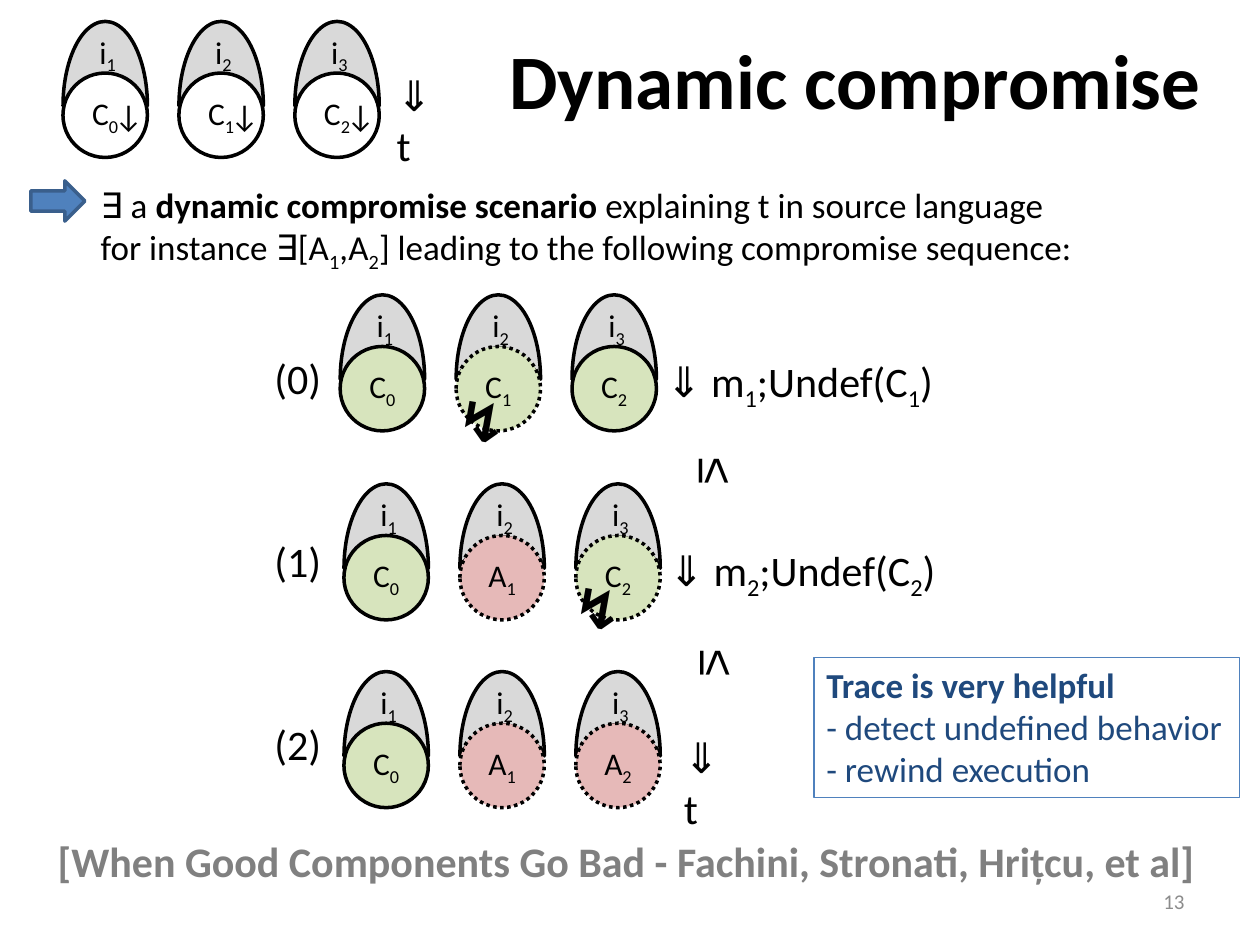
from dataclasses import dataclass

import pptx
import pptx.dml.color
import pptx.enum.dml
import pptx.enum.shapes
import pptx.enum.text
import pptx.util

Inches = pptx.util.Inches
RGBColor = pptx.dml.color.RGBColor
SHAPE = pptx.enum.shapes.MSO_SHAPE
ALIGN = pptx.enum.text.PP_ALIGN
ANCHOR = pptx.enum.text.MSO_ANCHOR

BLACK = RGBColor(0x00, 0x00, 0x00)
WHITE = RGBColor(0xFF, 0xFF, 0xFF)
INTERFACE_GREY = RGBColor(0xD9, 0xD9, 0xD9)
CITATION_GREY = RGBColor(0x80, 0x80, 0x80)
NUMBER_GREY = RGBColor(0x8C, 0x8C, 0x8C)
GREEN = RGBColor(0xD7, 0xE4, 0xBD)
PINK = RGBColor(0xE6, 0xB9, 0xB8)
BLUE = RGBColor(0x4F, 0x81, 0xBD)
ARROW_EDGE = RGBColor(0x3A, 0x5F, 0x8C)
NAVY = RGBColor(0x1F, 0x49, 0x7D)

DIAMETER = 0.67
COLUMN_STEP = 0.92
CIRCLE_DROP = 0.41


@dataclass(frozen=True)
class Component:
    name: str
    fill: RGBColor
    dotted: bool = False


@dataclass(frozen=True)
class Program:
    left: float
    top: float
    components: tuple[Component, ...]


@dataclass(frozen=True)
class Label:
    text: str
    left: float
    top: float
    width: float
    height: float
    size: int = 24
    color: RGBColor = BLACK
    bold: bool = False
    font: str = "Calibri"
    align: ALIGN = ALIGN.LEFT
    anchor: ANCHOR = ANCHOR.TOP
    wrap: bool = False
    rotation: int = 0


PROGRAMS = (
    Program(0.5, 0.17, tuple(Component(f"C_{n}", WHITE) for n in range(3))),
    Program(2.7, 2.34, (Component("C_0", GREEN), Component("C_1", GREEN, True),
                        Component("C_2", GREEN))),
    Program(2.73, 3.84, (Component("C_0", GREEN), Component("A_1", PINK, True),
                         Component("C_2", GREEN, True))),
    Program(2.73, 5.33, (Component("C_0", GREEN), Component("A_1", PINK, True),
                         Component("A_2", PINK, True))),
)

LABELS = (
    Label("[When Good Components Go Bad - Fachini, Stronati, Hrițcu, et al]",
          0.36, 6.58, 9.31, 0.5, color=CITATION_GREY, bold=True),
    Label("∃ a *dynamic compromise scenario *explaining t in source language\n"
          "for instance ∃[A_1,A_2] leading to the following compromise sequence:",
          0.7, 1.41, 7.99, 0.77, size=20),
    *(Label("↓", 0.81 + n * COLUMN_STEP, 0.71, 0.43, 0.4, size=18) for n in range(3)),
    *(Label(f"({n})", 2.08, 2.75 + n * 1.45, 0.58, 0.5) for n in range(3)),
    Label("⇓ t", 3.05, 0.5, 0.55, 0.5, wrap=True),
    Label("⇓ m_1;Undef(C_1)", 5.19, 2.77, 2.36, 0.5),
    Label("⇓ m_2;Undef(C_2)", 5.21, 4.27, 2.36, 0.5),
    Label("⇓ t", 5.33, 5.76, 0.55, 0.5, wrap=True),
    Label("↯", 3.54, 3.02, 0.46, 0.64, size=32, bold=True),
    Label("↯", 4.46, 4.5, 0.46, 0.64, size=32, bold=True),
    Label("≤", 5.43, 3.51, 0.54, 0.57, size=28, font="Courier New", rotation=90),
    Label("≤", 5.44, 5.03, 0.54, 0.57, size=28, font="Courier New", rotation=90),
    Label("13", 7.17, 6.95, 2.33, 0.4, size=12, color=NUMBER_GREY,
          align=ALIGN.RIGHT, anchor=ANCHOR.MIDDLE, wrap=True),
)


def write_text(box, text: str, *, size: int = 18, color: RGBColor = BLACK,
               bold: bool = False, font: str = "Calibri", align: ALIGN = ALIGN.LEFT,
               anchor: ANCHOR = ANCHOR.TOP, wrap: bool = False) -> None:
    """Asterisks enclose bold text; an underscore lowers the next character."""
    frame = box.text_frame
    frame.word_wrap = wrap
    frame.vertical_anchor = anchor
    for row, line in enumerate(text.split("\n")):
        para = frame.add_paragraph() if row else frame.paragraphs[0]
        para.alignment = align
        for turn, section in enumerate(line.split("*")):
            plain, *lowered = section.split("_")
            pieces = [(plain, False)]
            for part in lowered:
                pieces += [(part[0], True), (part[1:], False)]
            for words, subscript in pieces:
                if not words:
                    continue
                span = para.add_run()
                span.text = words
                span.font.size = pptx.util.Pt(size)
                span.font.name = font
                span.font.bold = bold or turn % 2 == 1
                span.font.color.rgb = color
                if subscript:
                    span.font._element.set("baseline", "-25000")


def add_label(shapes, label: Label) -> None:
    box = shapes.add_textbox(Inches(label.left), Inches(label.top),
                             Inches(label.width), Inches(label.height))
    box.rotation = label.rotation
    write_text(box, label.text, size=label.size, color=label.color, bold=label.bold,
               font=label.font, align=label.align, anchor=label.anchor, wrap=label.wrap)


def add_figure(shapes, kind: SHAPE, left: float, top: float, width: float, height: float,
               *, fill: RGBColor | None = None, edge: RGBColor = BLACK,
               weight: float = 2, rotation: int = 0):
    figure = shapes.add_shape(kind, Inches(left), Inches(top), Inches(width), Inches(height))
    figure.shadow.inherit = False
    figure.rotation = rotation
    if fill is None:
        figure.fill.background()
    else:
        figure.fill.solid()
        figure.fill.fore_color.rgb = fill
    figure.line.color.rgb = edge
    figure.line.width = pptx.util.Pt(weight)
    return figure


def draw_program(page, program: Program) -> None:
    shapes = page.shapes.add_group_shape().shapes
    for column, component in enumerate(program.components):
        left = program.left + column * COLUMN_STEP
        moon = add_figure(shapes, SHAPE.MOON, left, program.top, DIAMETER, DIAMETER,
                          fill=INTERFACE_GREY, rotation=90)
        moon.adjustments[0] = 0.63
        add_label(shapes, Label(f"i_{column + 1}", left + 0.19, program.top + 0.04,
                                0.35, 0.4, size=18))
        circle = add_figure(shapes, SHAPE.OVAL, left, program.top + CIRCLE_DROP,
                            DIAMETER, DIAMETER, fill=component.fill)
        if component.dotted:
            circle.line.dash_style = pptx.enum.dml.MSO_LINE.ROUND_DOT
        write_text(circle, component.name, align=ALIGN.CENTER, anchor=ANCHOR.MIDDLE)


def main() -> None:
    deck = pptx.Presentation()
    deck.slide_width, deck.slide_height = Inches(10), Inches(7.5)
    page = deck.slides.add_slide(deck.slide_layouts[5])

    title = page.shapes.title
    title.left, title.top = Inches(3.83), Inches(0)
    title.width, title.height = Inches(5.92), Inches(1.25)
    write_text(title, "Dynamic compromise", size=44, bold=True,
               align=ALIGN.CENTER, anchor=ANCHOR.MIDDLE, wrap=True)

    for program in PROGRAMS:
        draw_program(page, program)
    for label in LABELS:
        add_label(page.shapes, label)

    add_figure(page.shapes, SHAPE.DOWN_ARROW, 0.3, 1.38, 0.32, 0.43,
               fill=BLUE, edge=ARROW_EDGE, rotation=270)
    summary = add_figure(page.shapes, SHAPE.RECTANGLE, 6.46, 5.22, 3.38, 1.11,
                         edge=BLUE, weight=0.75)
    write_text(summary, "*Trace is very helpful*\n- detect undefined behavior\n"
               "- rewind execution", size=20, color=NAVY)

    deck.save("out.pptx")


if __name__ == "__main__":
    main()
